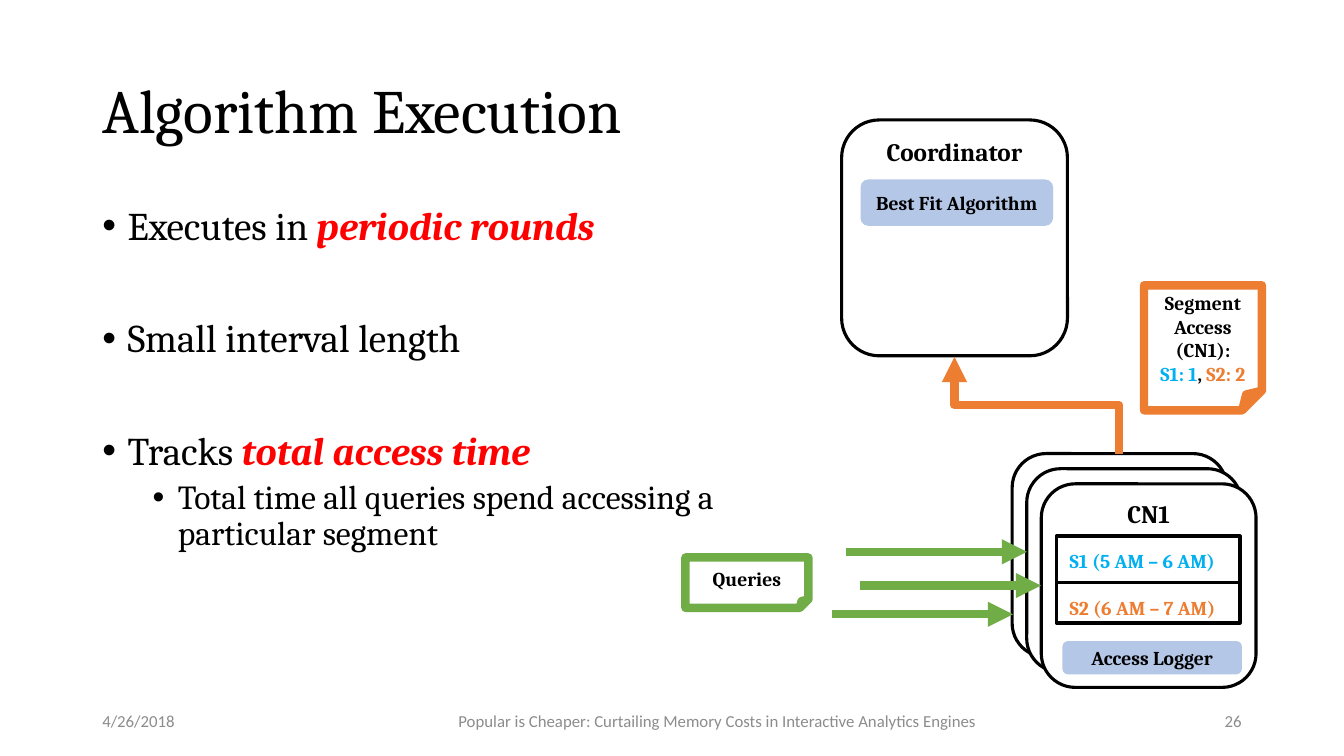
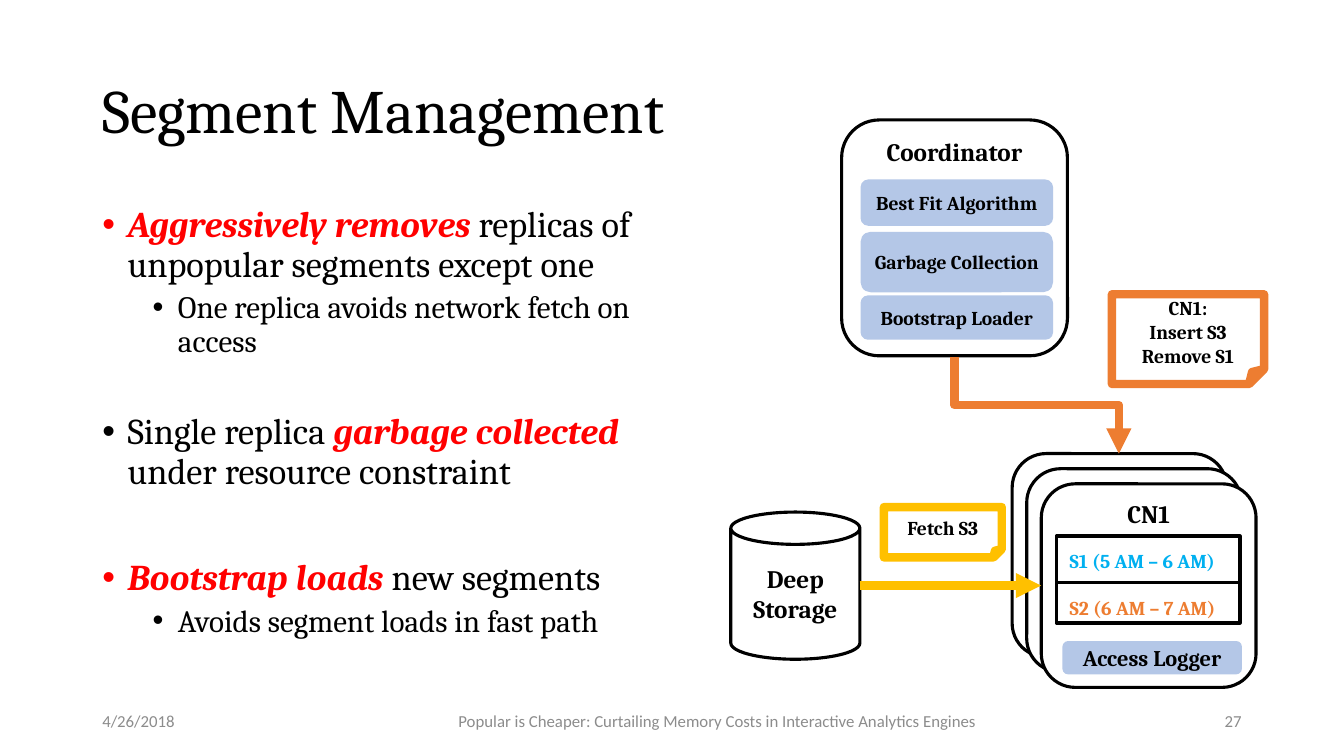
"""Builds two slides on algorithm execution and segment management."""
from pptx import Presentation
from pptx.dml.color import RGBColor
from pptx.enum.shapes import MSO_CONNECTOR as CXN, MSO_SHAPE as SHAPE
from pptx.enum.text import MSO_ANCHOR as ANCHOR, PP_ALIGN as ALIGN
from pptx.oxml.ns import qn
from pptx.util import Pt
from lxml.etree import SubElement

BLACK = RGBColor(0, 0, 0)
WHITE = RGBColor(255, 255, 255)
RED = RGBColor(255, 0, 0)
GREY = RGBColor(0x8C, 0x8C, 0x8C)
PALE = RGBColor(0xB4, 0xC7, 0xE7)
CYAN = RGBColor(0, 0xB0, 0xF0)
ORANGE = RGBColor(0xED, 0x7D, 0x31)
GREEN = RGBColor(0x70, 0xAD, 0x47)
GOLD = RGBColor(0xFF, 0xC0, 0)
SERIF, SANS = "Cambria", "Calibri"
MARGIN, FOOT_Y, FOOT_H = 66, 500.5, 28.8
FOOTER = "Popular is Cheaper: Curtailing Memory Costs in Interactive Analytics Engines"


def add_run(p, text, size, color=BLACK, bold=False, italic=False, font=SERIF):
    r = p.add_run()
    r.text = text
    f = r.font
    f.name, f.size, f.bold, f.italic = font, Pt(size), bold, italic
    f.color.rgb = color


def paragraphs(tf, count):
    return [tf.paragraphs[0]] + [tf.add_paragraph() for _ in range(count - 1)]


def text_box(s, x, y, w, h, anchor=ANCHOR.MIDDLE):
    tf = s.shapes.add_textbox(Pt(x), Pt(y), Pt(w), Pt(h)).text_frame
    tf.word_wrap = True
    tf.vertical_anchor = anchor
    return tf


def add_title(s, text):
    p = text_box(s, MARGIN, 28.8, 828, 104.4).paragraphs[0]
    p.line_spacing = 0.9
    add_run(p, text, 44)


def add_footer(s, number):
    for x, w, align, text in ((MARGIN, 216, ALIGN.LEFT, "4/26/2018"),
                              (318, 389, ALIGN.CENTER, FOOTER),
                              (678, 216, ALIGN.RIGHT, str(number))):
        p = text_box(s, x, FOOT_Y, w, FOOT_H).paragraphs[0]
        p.alignment = align
        add_run(p, text, 12, GREY, font=SANS)


def add_bullets(s, w, sizes, items):
    """Each item is (level, space before, runs); a run is (text, emphasised)."""
    tf = text_box(s, MARGIN, 144, w, 335, ANCHOR.TOP)
    for p, (level, before, runs) in zip(paragraphs(tf, len(items)), items):
        p.level, p.line_spacing, p.space_before = level, 0.9, Pt(before)
        pPr = p._p.get_or_add_pPr()
        pPr.set("marL", str(Pt(18 + 36 * level)))
        pPr.set("indent", str(Pt(-18)))
        SubElement(pPr, qn("a:buFont")).set("typeface", "Arial")
        SubElement(pPr, qn("a:buChar")).set("char", "•")
        for text, strong in runs:
            add_run(p, text, sizes[level], RED if strong else BLACK, strong, strong)


def add_box(s, kind, x, y, w, h, lines=(), size=14, fill=None, line=None,
            weight=2.25, anchor=ANCHOR.MIDDLE, align=ALIGN.CENTER, inset=None):
    """Each line of text is a list of (text, colour) runs."""
    sp = s.shapes.add_shape(kind, Pt(x), Pt(y), Pt(w), Pt(h))
    sp.shadow.inherit = False
    if fill is None:
        sp.fill.background()
    else:
        sp.fill.solid()
        sp.fill.fore_color.rgb = fill
    if line is None:
        sp.line.fill.background()
    else:
        sp.line.color.rgb = line
        sp.line.width = Pt(weight)
    tf = sp.text_frame
    tf.word_wrap, tf.vertical_anchor = True, anchor
    if inset:
        tf.margin_left = tf.margin_right = Pt(inset)
        tf.margin_top = tf.margin_bottom = Pt(inset)
    for p, runs in zip(paragraphs(tf, max(1, len(lines))), lines):
        p.alignment = align
        for text, color in runs:
            add_run(p, text, size, color, True)


def add_panel(s, kind, x, y, w, h, label="", anchor=ANCHOR.TOP):
    add_box(s, kind, x, y, w, h, [[(label, BLACK)]] if label else (), 18,
            WHITE, BLACK, anchor=anchor)


def add_module(s, x, y, w, h, label, size=14):
    add_box(s, SHAPE.ROUNDED_RECTANGLE, x, y, w, h, [[(label, BLACK)]], size, PALE)


def add_note(s, x, y, w, h, color, lines):
    add_box(s, SHAPE.FOLDED_CORNER, x, y, w, h, lines, line=color, weight=6)


def add_arrow(s, kind, x1, y1, x2, y2, color, end="a:tailEnd"):
    cxn = s.shapes.add_connector(kind, Pt(x1), Pt(y1), Pt(x2), Pt(y2))
    cxn.line.color.rgb = color
    cxn.line.width = Pt(6)
    spPr = cxn._element.spPr
    SubElement(spPr.find(qn("a:ln")), qn(end)).set("type", "triangle")
    SubElement(spPr, qn("a:effectLst"))
    return cxn


def add_flow(s, x, y, length, color):
    add_arrow(s, CXN.STRAIGHT, x, y, x + length, y, color)


def add_coordinator_link(s, end):
    """Joins the nodes to the coordinator with an elbow that starts upright."""
    x1, y1, x2, y2 = 799.2, 324, 681.8, 254.9
    cx, cy = (x1 + x2) / 2, (y1 + y2) / 2
    dx, dy = (y1 - y2) / 2, (x1 - x2) / 2
    cxn = add_arrow(s, CXN.ELBOW, cx - dx, cy + dy, cx + dx, cy - dy, ORANGE, end)
    cxn._element.spPr.find(qn("a:xfrm")).set("rot", str(270 * 60000))


def add_nodes(s, logger_size):
    for i, label in enumerate(("", "", "CN1")):
        add_panel(s, SHAPE.ROUNDED_RECTANGLE, 723 + 10.4 * i, 324 + 10.8 * i,
                  153.4, 145.4, label)
    add_module(s, 758.9, 457.9, 128.2, 23.8, "Access Logger", logger_size)
    for y, h, label, color in ((383, 33.1, "S1 (5 AM – 6 AM)", CYAN),
                               (416.1, 28.8, "S2 (6 AM – 7 AM)", ORANGE)):
        add_box(s, SHAPE.RECTANGLE, 754.6, y, 131, h, [[(label, color)]],
                line=BLACK, weight=2.5, anchor=ANCHOR.TOP, align=ALIGN.LEFT, inset=9.4)


def add_coordinator(s, modules):
    add_panel(s, SHAPE.ROUNDED_RECTANGLE, 601.2, 85.7, 161.3, 168.5, "Coordinator")
    for y, h, label in modules:
        add_module(s, 614.7, y, 137.5, h, label)


def new_slide(prs, title, number):
    s = prs.slides.add_slide(prs.slide_layouts[6])
    add_title(s, title)
    add_footer(s, number)
    return s


def build_execution(prs):
    s = new_slide(prs, "Algorithm Execution", 26)
    add_bullets(s, 462.2, (28, 24), (
        (0, 10, [("Executes in ", False), ("periodic rounds", True)]),
        (0, 50, [("Small interval length", False)]),
        (0, 50, [("Tracks ", False), ("total access time", True)]),
        (1, 5, [("Total time all queries spend accessing a particular segment", False)])))
    add_nodes(s, 14)
    add_coordinator(s, [(128.2, 33.1, "Best Fit Algorithm")])
    add_coordinator_link(s, "a:tailEnd")
    add_note(s, 817.2, 203.8, 84.2, 89.3, ORANGE, [
        [("Segment Access (CN1):", BLACK)],
        [("S1: 1", CYAN), (", ", BLACK), ("S2: 2", ORANGE)]])
    for x, y in ((614, 418.3), (604, 394.2), (594, 438.8)):
        add_flow(s, x, y, 129.6, GREEN)
    add_note(s, 489.6, 398.2, 87.8, 36, GREEN, [[("Queries", BLACK)]])


def build_management(prs):
    s = new_slide(prs, "Segment Management", 27)
    add_bullets(s, 409.7, (25.9, 22.2), (
        (0, 10, [("Aggressively removes", True),
                 (" replicas of unpopular segments except one", False)]),
        (1, 5, [("One replica avoids network fetch on access", False)]),
        (0, 39, [("Single replica ", False), ("garbage collected", True),
                 (" under resource constraint", False)]),
        (0, 48, [("Bootstrap loads ", True), ("new segments", False)]),
        (1, 5, [("Avoids segment loads in fast path", False)])))
    add_panel(s, SHAPE.CAN, 522, 365.8, 92.2, 105.1, "Deep Storage", ANCHOR.MIDDLE)
    add_nodes(s, 16)
    add_coordinator(s, [(128.2, 33.1, "Best Fit Algorithm"),
                        (165.6, 43.2, "Garbage Collection"),
                        (211, 31.7, "Bootstrap Loader")])
    add_coordinator_link(s, "a:headEnd")
    add_note(s, 794.2, 210.2, 108.7, 64.1, ORANGE,
             [[(text, BLACK)] for text in ("CN1:", "Insert S3", "Remove S1")])
    add_flow(s, 614, 418.3, 129.6, GOLD)
    add_note(s, 631.4, 362.2, 84.2, 36, GOLD, [[("Fetch S3", BLACK)]])


def main():
    prs = Presentation()
    prs.slide_width, prs.slide_height = Pt(960), Pt(540)
    build_execution(prs)
    build_management(prs)
    prs.save("out.pptx")


if __name__ == "__main__":
    main()
